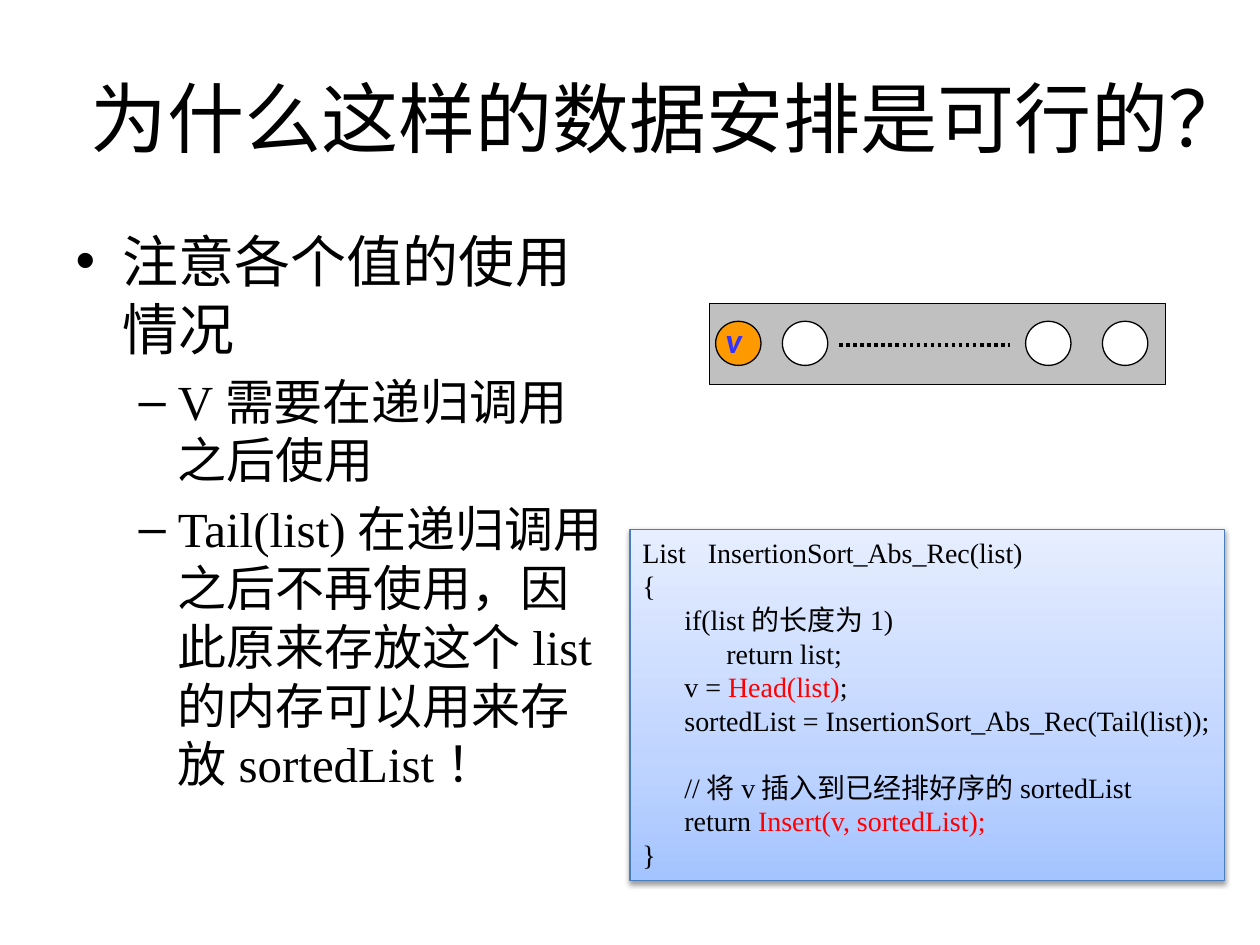
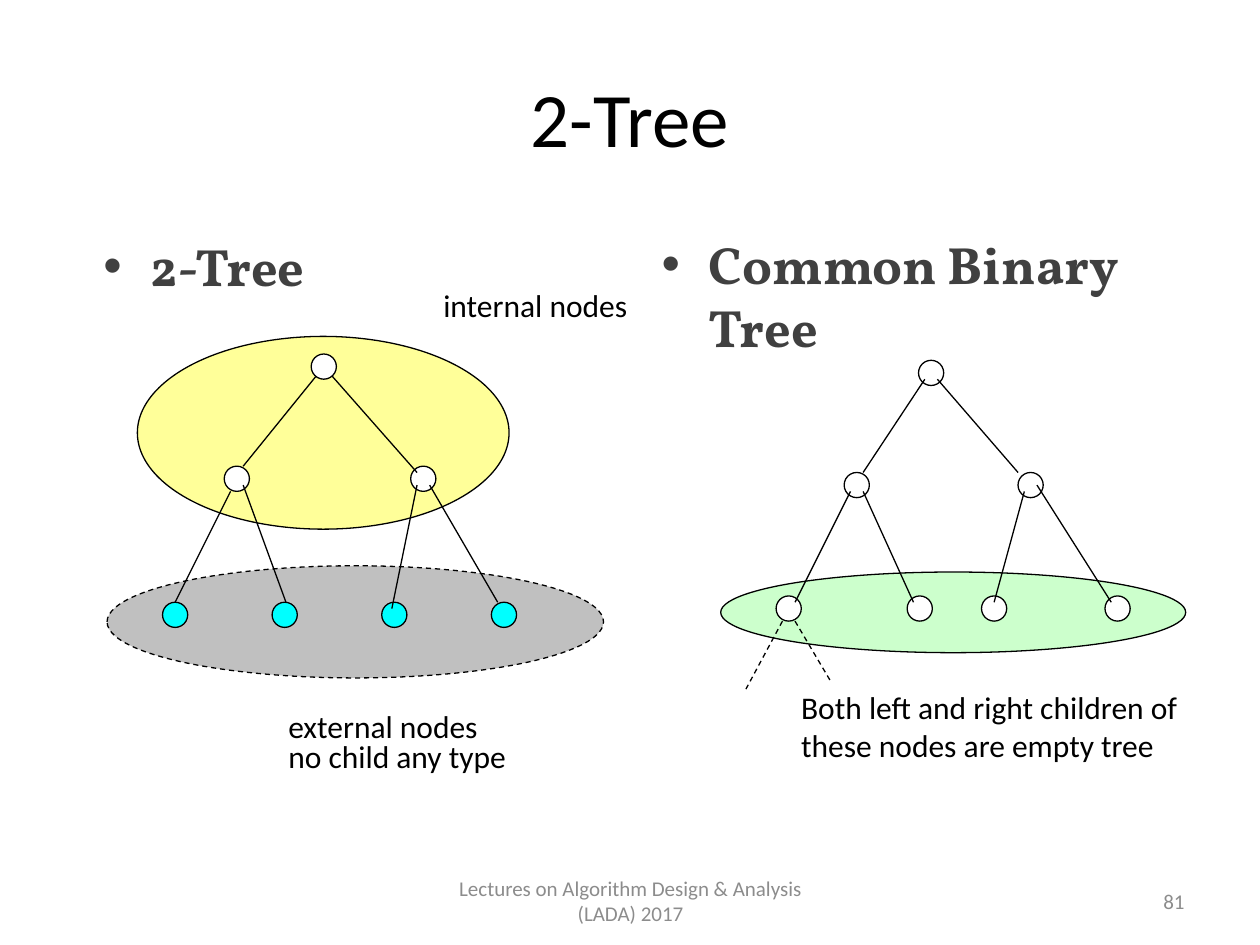
from dataclasses import dataclass
from typing import NamedTuple

from lxml.etree import SubElement
from pptx import Presentation
from pptx.dml.color import RGBColor
from pptx.enum.dml import MSO_LINE
from pptx.enum.shapes import MSO_CONNECTOR, MSO_SHAPE
from pptx.enum.text import MSO_ANCHOR, MSO_AUTO_SIZE, PP_ALIGN
from pptx.oxml.ns import qn
from pptx.util import Inches, Pt

COLUMNS, ROWS = 100, 75
WIDTH, HEIGHT = Inches(10), Inches(7.5)
BLACK, WHITE, SILVER, RED = "000000", "FFFFFF", "C0C0C0", "FF0000"
HEADING, FOOTER_GRAY, CYAN = "404040", "8C8C8C", "00FFFF"
CJK, SANS, SERIF, DISPLAY = "Noto Sans CJK JP", "Calibri", "Times New Roman", "Vollkorn"
NODE_SIZE = 2
CODE_STEP = 24
CODE_GRADIENT = [(0, "A4C4FF"), (35, "BFD4FF"), (100, "E6EEFF")]


class Box(NamedTuple):
    col: float
    row: float
    cols: float
    rows: float


class Edge(NamedTuple):
    col1: float
    row1: float
    col2: float
    row2: float
    dash: MSO_LINE | None = None


class Line(NamedTuple):
    text: str
    level: int = 0
    size: float | None = None
    accent: str = ""
    indent: int = 0
    gap: float = 0
    tab: float = 0


@dataclass
class Oval:
    box: Box
    fill: str = WHITE
    dash: MSO_LINE | None = None


@dataclass
class Tree:
    groups: list[Oval]
    inner: list[tuple[float, float]]
    leaves: list[tuple[float, float]]
    leaf_fill: str
    edges: list[Edge]


TITLE = Box(5, 3, 90, 12.5)

INSERTION_CODE = [
    Line("List\tInsertionSort_Abs_Rec(list)", tab=5.2),
    Line("{"),
    Line("if(list的长度为1)", indent=1),
    Line("return list;", indent=2),
    Line("v = Head(list);", indent=1, accent="Head(list)"),
    Line("sortedList = InsertionSort_Abs_Rec(Tail(list));", indent=1),
    Line("//将v插入到已经排好序的sortedList", indent=1, gap=19),
    Line("return Insert(v, sortedList);", indent=1, accent="Insert(v, sortedList);"),
    Line("}"),
]

TWO_TREE = Tree(
    groups=[
        Oval(Box(10.9, 26.7, 29.5, 15.3), "FFFF99"),
        Oval(Box(8.5, 44.9, 39.4, 8.9), SILVER, MSO_LINE.DASH),
    ],
    inner=[(24.7, 28.1), (17.8, 37), (32.6, 37)],
    leaves=[(12.9 + 8.7 * place, 47.8) for place in range(4)],
    leaf_fill=CYAN,
    edges=[
        Edge(25.7, 29.1, 19.3, 37),
        Edge(25.7, 29.1, 33.1, 37.5),
        Edge(18.3, 39, 13.9, 47.8),
        Edge(19.3, 38.5, 22.7, 47.8),
        Edge(33.1, 38.5, 31.1, 48.3),
        Edge(34.1, 38.5, 39.5, 47.8),
    ],
)

COMMON_TREE = Tree(
    groups=[Oval(Box(57.2, 45.4, 36.9, 6.4), "CCFFCC")],
    inner=[(72.9, 28.6), (67, 37.5), (80.8, 37.5)],
    leaves=[(col, 47.3) for col in (61.6, 72, 77.9, 87.7)],
    leaf_fill=WHITE,
    edges=[
        Edge(73.4, 30.1, 68.5, 37.5),
        Edge(74.4, 30.1, 80.8, 37.5),
        Edge(67.5, 39, 63.1, 47.8),
        Edge(68.5, 39, 72.5, 47.8),
        Edge(81.3, 39, 78.9, 47.8),
        Edge(82.3, 38.5, 88.2, 47.8),
        Edge(62.1, 49.3, 59.2, 54.7, MSO_LINE.DASH),
        Edge(63.1, 49.3, 66, 54.2, MSO_LINE.DASH),
    ],
)


def rgb(value: str) -> RGBColor:
    return RGBColor.from_string(value)


def across(cols: float) -> int:
    return round(WIDTH * cols / COLUMNS)


def down(rows: float) -> int:
    return round(HEIGHT * rows / ROWS)


def emu(box: Box) -> tuple[int, int, int, int]:
    return across(box.col), down(box.row), across(box.cols), down(box.rows)


def write(frame, lines, *, size, font=SANS, color=BLACK, bold=None, italic=None,
          align=None, anchor=MSO_ANCHOR.TOP, spacing=None) -> None:
    frame.word_wrap = True
    frame.auto_size = MSO_AUTO_SIZE.NONE
    frame.vertical_anchor = anchor
    lines = [Line(lines)] if isinstance(lines, str) else lines
    for number, line in enumerate(lines):
        paragraph = frame.add_paragraph() if number else frame.paragraphs[0]
        paragraph.level = line.level
        if align is not None:
            paragraph.alignment = align
        if spacing:
            paragraph.line_spacing = spacing
        if line.gap:
            paragraph.space_before = Pt(line.gap)
        properties = paragraph._p.get_or_add_pPr()
        if line.indent:
            properties.set("marL", str(Pt(CODE_STEP * line.indent)))
        if line.tab:
            stops = SubElement(properties, qn("a:tabLst"))
            SubElement(stops, qn("a:tab"), pos=str(across(line.tab)), algn="l")
        parts = line.text.partition(line.accent) if line.accent else (line.text,)
        for part in filter(None, parts):
            run = paragraph.add_run()
            run.text = part
            run.font.size = Pt(line.size or size)
            run.font.name = font
            run.font.bold = bold
            run.font.italic = italic
            run.font.color.rgb = rgb(RED if part == line.accent else color)
            SubElement(run._r.get_or_add_rPr(), qn("a:ea"), typeface=CJK)


def fill_placeholder(holder, box: Box, lines, **style) -> None:
    holder.left, holder.top, holder.width, holder.height = emu(box)
    write(holder.text_frame, lines, **style)


def add_title(slide, text: str, font: str = SANS) -> None:
    fill_placeholder(slide.shapes.title, TITLE, text, size=44, font=font,
                     align=PP_ALIGN.CENTER, anchor=MSO_ANCHOR.MIDDLE)


def add_label(slide, box: Box, lines, **style) -> None:
    write(slide.shapes.add_textbox(*emu(box)).text_frame, lines, **style)


def add_figure(slide, preset: MSO_SHAPE, box: Box, fill: str = WHITE,
               line: str = BLACK, dash: MSO_LINE | None = None):
    figure = slide.shapes.add_shape(preset, *emu(box))
    figure.shadow.inherit = False
    figure.fill.solid()
    figure.fill.fore_color.rgb = rgb(fill)
    figure.line.color.rgb = rgb(line)
    figure.line.width = Pt(0.75)
    if dash:
        figure.line.dash_style = dash
    return figure


def add_oval(slide, oval: Oval) -> None:
    add_figure(slide, MSO_SHAPE.OVAL, oval.box, oval.fill, dash=oval.dash)


def add_edge(slide, edge: Edge, width: float = 0.75) -> None:
    connector = slide.shapes.add_connector(
        MSO_CONNECTOR.STRAIGHT, across(edge.col1), down(edge.row1),
        across(edge.col2), down(edge.row2))
    connector.line.color.rgb = rgb(BLACK)
    connector.line.width = Pt(width)
    if edge.dash:
        connector.line.dash_style = edge.dash
    SubElement(connector._element.spPr, qn("a:effectLst"))


def add_tree(slide, tree: Tree) -> None:
    for group in tree.groups:
        add_oval(slide, group)
    root, *others = tree.inner
    nodes = [(spot, WHITE) for spot in others]
    nodes += [(spot, tree.leaf_fill) for spot in tree.leaves]
    for (col, row), fill in nodes:
        add_oval(slide, Oval(Box(col, row, NODE_SIZE, NODE_SIZE), fill))
    root_oval = Oval(Box(*root, NODE_SIZE, NODE_SIZE))
    root_covers_edges = tree.edges[0].row1 == root[1] + NODE_SIZE / 2
    if not root_covers_edges:
        add_oval(slide, root_oval)
    for edge in tree.edges:
        add_edge(slide, edge)
    if root_covers_edges:
        add_oval(slide, root_oval)


def add_code_panel(slide, box: Box, lines: list[Line]) -> None:
    panel = add_figure(slide, MSO_SHAPE.RECTANGLE, box, line="4B7EBC")
    panel.fill.gradient()
    panel.fill.gradient_angle = 90
    properties = panel._element.spPr
    stops = properties.find(".//" + qn("a:gsLst"))
    for stop in list(stops):
        stops.remove(stop)
    for percent, color in CODE_GRADIENT:
        stop = SubElement(stops, qn("a:gs"), pos=str(percent * 1000))
        SubElement(stop, qn("a:srgbClr"), val=color)
    shadow = SubElement(properties.find(qn("a:effectLst")), qn("a:outerShdw"),
                        blurRad=str(Pt(3.1)), dist=str(Pt(1.6)),
                        dir="5400000", rotWithShape="0")
    shade = SubElement(shadow, qn("a:srgbClr"), val=BLACK)
    SubElement(shade, qn("a:alpha"), val="38000")
    write(panel.text_frame, lines, size=16, font=SERIF, align=PP_ALIGN.LEFT)


def build_data_layout(deck) -> None:
    slide = deck.slides.add_slide(deck.slide_layouts[1])
    add_title(slide, "为什么这样的数据安排是可行的？", CJK)
    fill_placeholder(slide.placeholders[1], Box(5, 17.5, 44.2, 49.5), [
        Line("注意各个值的使用情况", size=32),
        Line("V需要在递归调用之后使用", level=1),
        Line("Tail(list)在递归调用之后不再使用，因此原来存放这个list的内存可以用来存放sortedList！", level=1),
    ], size=28, font=SERIF)
    add_code_panel(slide, Box(50, 42, 47.2, 27.9), INSERTION_CODE)
    add_figure(slide, MSO_SHAPE.RECTANGLE, Box(56.3, 24.1, 36.2, 6.4), SILVER)
    for col, fill in [(56.8, "FF9900"), (62.1, WHITE), (81.4, WHITE), (87.5, WHITE)]:
        add_oval(slide, Oval(Box(col, 25.5, 3.6, 3.5), fill))
    add_edge(slide, Edge(66.6, 27.4, 80.2, 27.4, MSO_LINE.ROUND_DOT), 2)
    add_label(slide, Box(56.6, 24.8, 5.8, 4.3), "v", size=20, color="3333FF",
              bold=True, italic=True)


def build_two_tree(deck) -> None:
    slide = deck.slides.add_slide(deck.slide_layouts[3])
    add_title(slide, "2-Tree")
    headings = [(1, Box(7.2, 18.1, 44.2, 49.5), "2-Tree"),
                (2, Box(51.5, 17.9, 44.2, 49.5), "Common Binary Tree")]
    for index, box, heading in headings:
        fill_placeholder(slide.placeholders[index], box, heading, size=30,
                         font=DISPLAY, color=HEADING, bold=True)
    for tree in (TWO_TREE, COMMON_TREE):
        add_tree(slide, tree)
    add_label(slide, Box(34.2, 22.2, 22.6, 5), "internal nodes", size=18)
    add_label(slide, Box(21.9, 56.2, 27.6, 5.9),
              [Line("external nodes"), Line("no child any type")], size=18, spacing=0.8)
    add_label(slide, Box(62.6, 54.1, 35.2, 7.1),
              "Both left and right children of these nodes are empty tree", size=18)
    footers = [
        (Box(34.2, 69.5, 31.7, 4), "Lectures on Algorithm Design & Analysis (LADA) 2017", PP_ALIGN.CENTER),
        (Box(71.7, 69.5, 23.3, 4), "81", PP_ALIGN.RIGHT),
    ]
    for box, text, align in footers:
        add_label(slide, box, text, size=12, color=FOOTER_GRAY, align=align,
                  anchor=MSO_ANCHOR.MIDDLE)


def main() -> None:
    deck = Presentation()
    deck.slide_width, deck.slide_height = WIDTH, HEIGHT
    build_data_layout(deck)
    build_two_tree(deck)
    deck.save("out.pptx")


if __name__ == "__main__":
    main()
